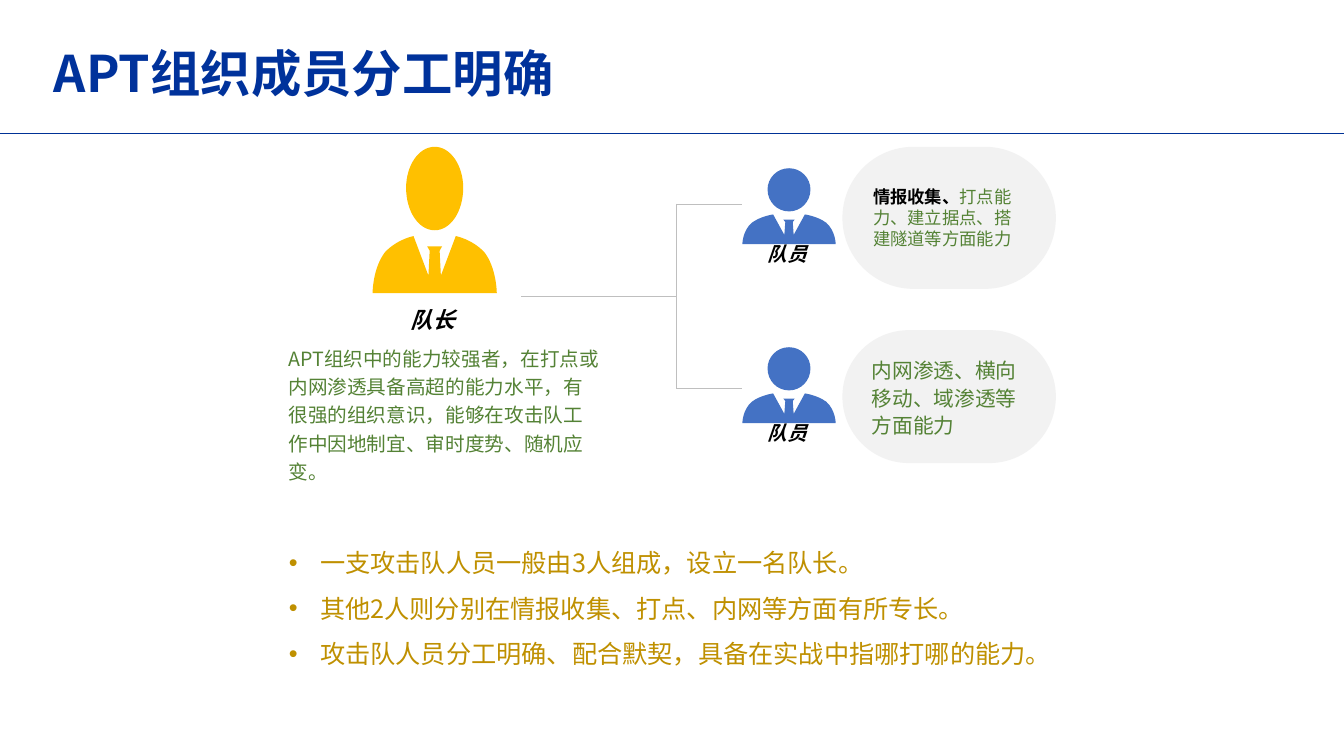
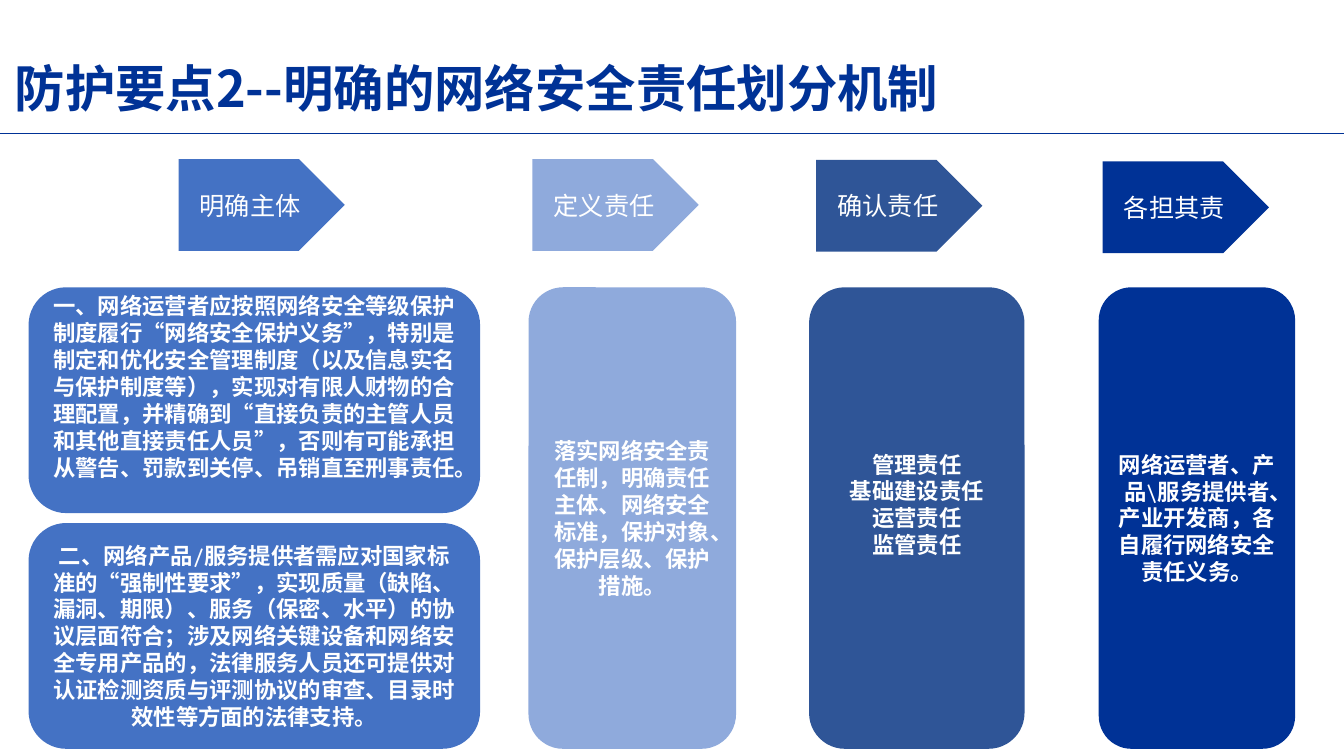
from dataclasses import dataclass

from lxml import etree
from pptx import Presentation
from pptx.dml.color import RGBColor
from pptx.enum.lang import MSO_LANGUAGE_ID
from pptx.enum.shapes import MSO_CONNECTOR, MSO_SHAPE
from pptx.enum.text import MSO_ANCHOR, PP_ALIGN
from pptx.oxml.ns import qn
from pptx.util import Cm, Pt

STRAIGHT = MSO_CONNECTOR.STRAIGHT
ROUNDED, PENTAGON = MSO_SHAPE.ROUNDED_RECTANGLE, MSO_SHAPE.PENTAGON
TOP, MIDDLE = MSO_ANCHOR.TOP, MSO_ANCHOR.MIDDLE
LEFT, CENTER = PP_ALIGN.LEFT, PP_ALIGN.CENTER
CHINESE = MSO_LANGUAGE_ID.SIMPLIFIED_CHINESE


@dataclass(frozen=True)
class Theme:
    sans: str = "Noto Sans CJK SC"
    serif: str = "Cambria"
    navy: str = "003296"
    title_blue: str = "00329B"
    blue: str = "4472C4"
    light_blue: str = "8FAADC"
    dark_blue: str = "2F5597"
    amber: str = "FFC000"
    gold: str = "BF9000"
    green: str = "548235"
    pale: str = "F2F2F2"
    gray: str = "BFBFBF"
    black: str = "000000"
    white: str = "FFFFFF"
    title_size: float = 36
    large: float = 18
    medium: float = 16
    small: float = 14
    skill_large: float = 14.8
    skill_small: float = 12.4


THEME = Theme()
PAGE_WIDTH, PAGE_HEIGHT = 33.87, 19.05
LINE_HEIGHT = 0.68  # one line of medium text


@dataclass(frozen=True)
class Style:
    size: float
    color: str
    font: str = THEME.sans
    bold: bool = False
    italic: bool = False


# Text helpers
def add_span(para, text, style):
    span = para.add_run()
    span.text = text
    font = span.font
    font.size, font.bold, font.italic = Pt(style.size), style.bold, style.italic
    font.color.rgb = RGBColor.from_string(style.color)
    font.name = style.font
    font.language_id = CHINESE
    east_asian = etree.SubElement(span._r.get_or_add_rPr(), qn("a:ea"))
    east_asian.set("typeface", THEME.sans)


def add_bullet(para, indent):
    properties = para._p.get_or_add_pPr()
    properties.set("marL", str(Cm(indent)))
    properties.set("indent", str(-Cm(indent)))
    font = etree.SubElement(properties, qn("a:buFont"))
    font.set("typeface", "Arial")
    etree.SubElement(properties, qn("a:buChar")).set("char", "•")


def write(shape, paragraphs, align=LEFT, anchor=MIDDLE, spacing=1.0, bullet=None):
    """Each paragraph is a list of (text, style) spans."""
    frame = shape.text_frame
    frame.word_wrap = True
    frame.vertical_anchor = anchor
    for index, spans in enumerate(paragraphs):
        para = frame.add_paragraph() if index else frame.paragraphs[0]
        para.alignment = align
        para.line_spacing = spacing
        if bullet:
            add_bullet(para, bullet)
        for text, style in spans:
            add_span(para, text, style)
    return frame


def add_text(page, area, paragraphs, **options):
    box = page.shapes.add_textbox(*map(Cm, area))
    return write(box, paragraphs, **options)


# Shape helpers
def paint(shape, color):
    shape.shadow.inherit = False
    shape.fill.solid()
    shape.fill.fore_color.rgb = RGBColor.from_string(color)
    shape.line.fill.background()


def add_block(page, kind, area, color, paragraphs, radius=None, **options):
    block = page.shapes.add_shape(kind, *map(Cm, area))
    paint(block, color)
    if radius is not None:
        block.adjustments[0] = radius
    return write(block, paragraphs, **options)


def add_line(page, start, end, color, width):
    line = page.shapes.add_connector(STRAIGHT, *map(Cm, start + end))
    line.line.color.rgb = RGBColor.from_string(color)
    line.line.width = Pt(width)
    etree.SubElement(line._element.spPr, qn("a:effectLst"))


# Person icon in a unit square: one point is a line, three are a cubic curve
HEAD_START = (0.5, 0)
HEAD = (
    ((0.37, 0), (0.27, 0.13), (0.27, 0.28)),
    ((0.27, 0.44), (0.37, 0.57), (0.5, 0.57)),
    ((0.63, 0.57), (0.73, 0.44), (0.73, 0.28)),
    ((0.73, 0.13), (0.63, 0), (0.5, 0)),
)
BODY_START = (0.33, 0.61)
BODY = (
    ((0.33, 0.61), (0.2, 0.63), (0.1, 0.72)),
    ((0, 0.83), (0, 1), (0, 1)),
    ((0.5, 1),),
    ((1, 1),),
    ((1, 1), (1, 0.83), (0.9, 0.72)),
    ((0.8, 0.63), (0.67, 0.61), (0.67, 0.61)),
    ((0.55, 0.88),), ((0.54, 0.71),), ((0.56, 0.68),), ((0.5, 0.68),),
    ((0.44, 0.68),), ((0.46, 0.71),), ((0.45, 0.88),),
    ((0.33, 0.61),),
)


def bend(shape, segments):
    """Join each run of three line steps that belongs to a curve."""
    steps = iter(list(shape._element.iter(qn("a:lnTo"))))
    for segment in segments:
        parts = [next(steps) for _ in segment]
        if len(parts) == 3:
            parts[0].tag = qn("a:cubicBezTo")
            for part in parts[1:]:
                parts[0].append(part[0])
                part.getparent().remove(part)


def add_person(page, area, color):
    left, top, width, height = map(Cm, area)

    def place(point):
        return left + point[0] * width, top + point[1] * height

    builder = page.shapes.build_freeform(*place(HEAD_START))
    for segments in (HEAD, BODY):
        if segments is BODY:
            builder.move_to(*place(BODY_START))
        points = [place(point) for segment in segments for point in segment]
        builder.add_line_segments(points, close=True)
    person = builder.convert_to_shape()
    bend(person, HEAD + BODY)
    paint(person, color)


def add_page(deck, title, left, top, color):
    """Blank page with the shared title style and rule."""
    page = deck.slides.add_slide(deck.slide_layouts[6])
    add_line(page, (0, 3.37), (PAGE_WIDTH, 3.37), THEME.navy, 0.5)
    style = Style(THEME.title_size, color, bold=True)
    add_text(page, (left, top, 29.21, 1.63), [[(title, style)]],
             anchor=TOP, spacing=0.9)
    return page


# Page 1: the team
def build_team(deck):
    page = add_page(deck, "APT组织成员分工明确", 1.11, 1.1, THEME.title_blue)

    # Leader
    add_person(page, (9.39, 3.7, 3.13, 3.69), THEME.amber)
    leader = Style(THEME.medium, THEME.black, THEME.serif, bold=True, italic=True)
    add_text(page, (7.24, 7.47, 7.34, 1.19), [[("队长", leader)]], align=CENTER)
    profile = ("APT组织中的能力较强者，在打点或内网渗透具备高超的能力水平，"
               "有很强的组织意识，能够在攻击队工作中因地制宜、审时度势、随机应变。")
    add_text(page, (7.02, 8.5, 8.36, 3.96),
             [[(profile, Style(THEME.small, THEME.green))]], anchor=TOP, spacing=1.2)

    # Branch lines
    trunk, tip, branches = 17.04, 18.71, (5.14, 9.77)
    add_line(page, (13.13, 7.46), (trunk, 7.46), THEME.gray, 0.25)
    add_line(page, (trunk, branches[0]), (trunk, branches[1]), THEME.gray, 0.25)
    for y in branches:
        add_line(page, (trunk, y), (tip, y), THEME.gray, 0.25)

    # Members and their skills
    member = Style(THEME.small, THEME.black, THEME.serif, bold=True, italic=True)
    key_skill = Style(THEME.skill_small, THEME.black, THEME.serif, bold=True)
    scout = [("情报收集、", key_skill),
             ("打点能力、建立据点、搭建隧道等方面能力",
              Style(THEME.skill_small, THEME.green))]
    insider = [("内网渗透、横向移动、域渗透等方面能力",
                Style(THEME.skill_large, THEME.green))]
    for top, skill_top, skill_height, skills, spacing in (
            (4.24, 3.7, 3.58, scout, 1.0), (8.75, 8.32, 3.35, insider, 1.1)):
        add_block(page, ROUNDED, (21.23, skill_top, 5.38, skill_height), THEME.pale,
                  [skills], radius=0.5, spacing=spacing)
        add_person(page, (tip, top, 2.35, 1.91), THEME.blue)
        add_text(page, (18.44, top + 1.55, 2.82, 1.19), [[("队员", member)]],
                 align=CENTER)

    # Summary
    point = Style(THEME.large, THEME.gold)
    summary = ("一支攻击队人员一般由3人组成，设立一名队长。",
               "其他2人则分别在情报收集、打点、内网等方面有所专长。",
               "攻击队人员分工明确、配合默契，具备在实战中指哪打哪的能力。")
    add_text(page, (7.03, 13.29, 21.36, 3.58), [[(text, point)] for text in summary],
             anchor=TOP, spacing=1.5, bullet=0.79)


# Page 2: the duties
def build_duties(deck):
    page = add_page(deck, "防护要点2--明确的网络安全责任划分机制", 0.12, 1.48, THEME.navy)
    step_style = Style(THEME.large, THEME.white, THEME.serif)
    panel_style = Style(THEME.medium, THEME.white, THEME.serif, bold=True)
    operators = ("一、网络运营者应按照网络安全等级保护制度履行“网络安全保护义务”，"
                 "特别是制定和优化安全管理制度（以及信息实名与保护制度等），"
                 "实现对有限人财物的合理配置，并精确到“直接负责的主管人员和其他"
                 "直接责任人员”，否则有可能承担从警告、罚款到关停、吊销直至刑事责任。")
    providers = ("二、网络产品/服务提供者需应对国家标准的“强制性要求”，"
                 "实现质量（缺陷、漏洞、期限）、服务（保密、水平）的协议层面符合；"
                 "涉及网络关键设备和网络安全专用产品的，法律服务人员还可提供对"
                 "认证检测资质与评测协议的审查、目录时效性等方面的法律支持。")
    goals = "落实网络安全责任制，明确责任主体、网络安全标准，保护对象、保护层级、保护措施。"
    kinds = ("管理责任", "基础建设责任", "运营责任", "监管责任")
    parties = "网络运营者、产品\\服务提供者、产业开发商，各自履行网络安全责任义务。"

    # Step: name, left, top, colour; panels: left, width, (lines, lift) from the top
    columns = (
        ("明确主体", 4.5, 4.01, THEME.blue, 0.72, 11.38,
         (((operators,), LINE_HEIGHT), ((providers,), 0))),
        ("定义责任", 13.42, 4.01, THEME.light_blue, 13.32, 5.23, (((goals,), 0),)),
        ("确认责任", 20.57, 4.03, THEME.dark_blue, 20.39, 5.43, ((kinds, LINE_HEIGHT),)),
        ("各担其责", 27.79, 4.07, THEME.navy, 27.69, 4.95, (((parties,), 0),)),
    )
    panel_top, panel_height, gap = 7.24, 11.63, 0.25
    for name, step_left, step_top, color, left, width, panels in columns:
        add_block(page, PENTAGON, (step_left, step_top, 4.19, 2.31), color,
                  [[(name, step_style)]], align=CENTER)
        height = (panel_height - gap * (len(panels) - 1)) / len(panels)
        for index, (lines, lift) in enumerate(panels):
            area = (left, panel_top + index * (height + gap), width, height)
            frame = add_block(page, ROUNDED, area, color,
                              [[(line, panel_style)] for line in lines], align=CENTER)
            frame.margin_bottom = Cm(0.13 + lift)


def main():
    deck = Presentation()
    deck.slide_width, deck.slide_height = Cm(PAGE_WIDTH), Cm(PAGE_HEIGHT)
    build_team(deck)
    build_duties(deck)
    deck.save("out.pptx")


if __name__ == "__main__":
    main()
